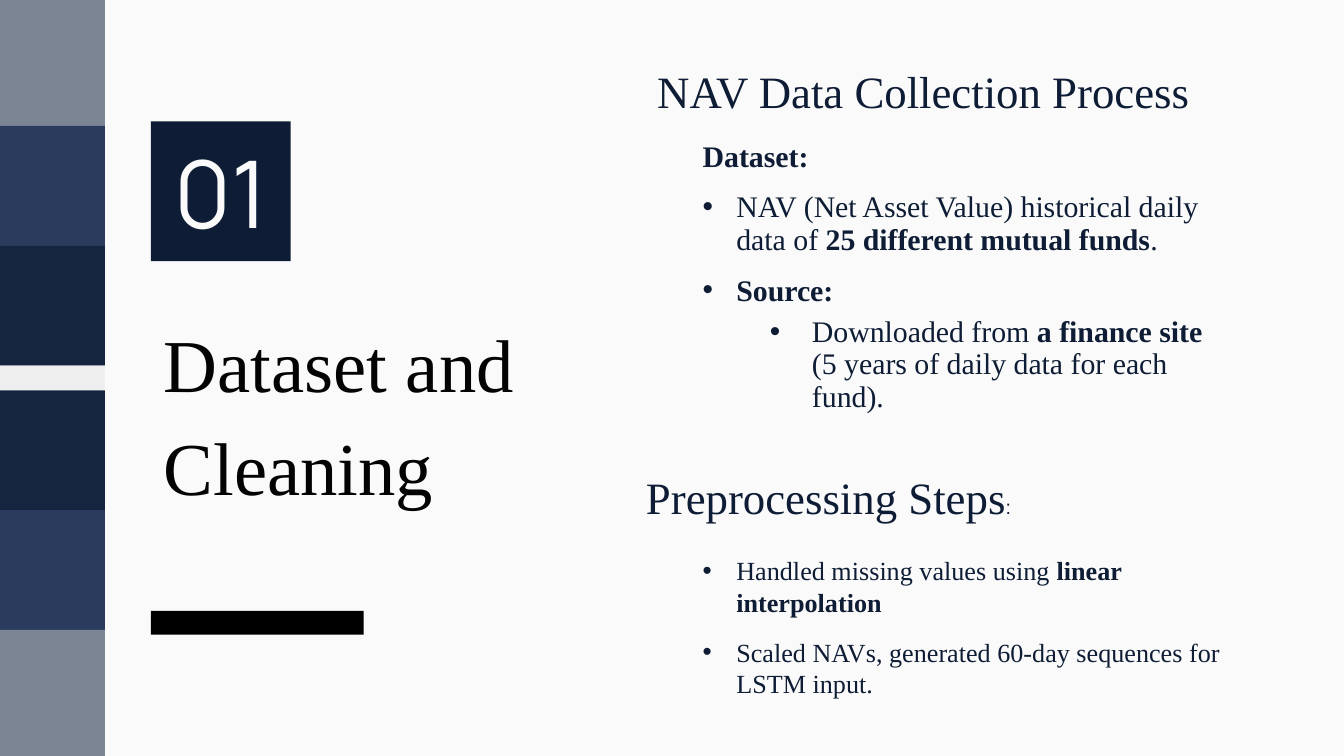
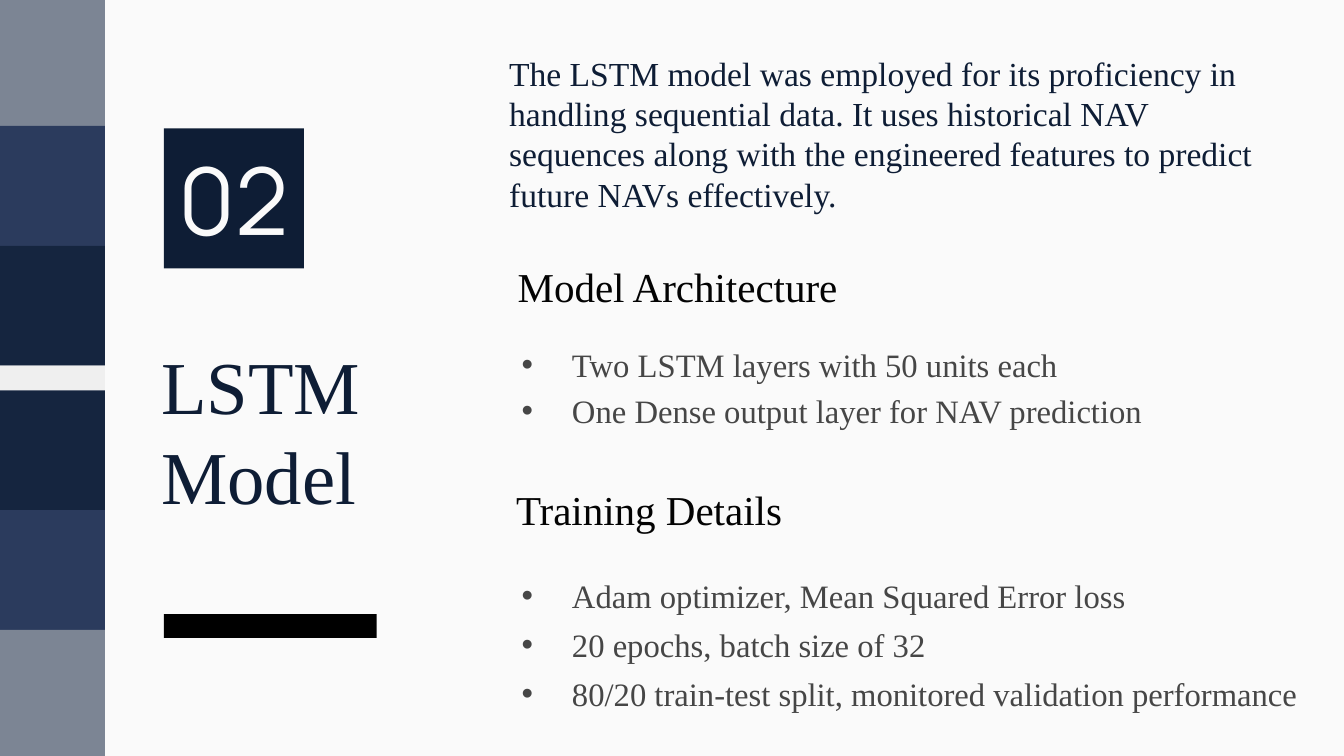
from dataclasses import dataclass

from lxml import etree
from pptx import Presentation
from pptx.dml.color import RGBColor
from pptx.enum.shapes import MSO_SHAPE
from pptx.enum.text import MSO_ANCHOR, PP_ALIGN
from pptx.oxml.ns import qn
from pptx.util import Pt

RECT = MSO_SHAPE.RECTANGLE
TOP, MIDDLE, BOTTOM = MSO_ANCHOR.TOP, MSO_ANCHOR.MIDDLE, MSO_ANCHOR.BOTTOM
CENTER = PP_ALIGN.CENTER


@dataclass(frozen=True)
class Theme:
    paper: str = "FAFAFA"
    navy: str = "0E1D35"
    deep: str = "15253F"
    blue: str = "2B3B5D"
    steel: str = "7C8594"
    pale: str = "EFEFEF"
    black: str = "000000"
    ink: str = "030303"
    gray: str = "464646"
    serif: str = "Times New Roman"
    digit: str = "Manrope"
    sans: str = "Arial"
    number: float = 50
    title: float = 40
    head: float = 24
    sub: float = 22
    lead: float = 18
    item: float = 17.5
    body: float = 16
    step: float = 14
    colon: float = 10.5


class Deck:
    def __init__(self, theme):
        self.theme = theme
        self.prs = Presentation()
        self.prs.slide_width, self.prs.slide_height = Pt(720), Pt(405)
        self.slide = None

    def page(self):
        """Start a slide with the shared background and side bands."""
        t = self.theme
        self.slide = self.prs.slides.add_slide(self.prs.slide_layouts[6])
        fill = self.slide.background.fill
        fill.solid()
        fill.fore_color.rgb = RGBColor.from_string(t.paper)
        half = [(t.steel, 67.5), (t.blue, 64.2), (t.deep, 64.2)]
        top = 0
        for color, height in half + [(t.pale, 13.2)] + half[::-1]:
            self.rect(0, top, 56.2, height, color)
            top += height

    def rect(self, x, y, w, h, color):
        shape = self.slide.shapes.add_shape(RECT, Pt(x), Pt(y), Pt(w), Pt(h))
        shape.shadow.inherit = False
        shape.fill.solid()
        shape.fill.fore_color.rgb = RGBColor.from_string(color)
        shape.line.fill.background()
        return shape

    def frame(self, shape, pad=7.2, anchor=TOP):
        """Prepare the text frame of a shape and return it."""
        frame = shape.text_frame
        frame.word_wrap = True
        frame.vertical_anchor = anchor
        frame.margin_left = frame.margin_right = Pt(pad)
        frame.margin_top = frame.margin_bottom = Pt(pad)
        return frame

    def box(self, x, y, w, h, pad=7.2, anchor=TOP):
        shape = self.slide.shapes.add_textbox(Pt(x), Pt(y), Pt(w), Pt(h))
        return self.frame(shape, pad, anchor)

    def para(self, frame, text, size, color, font=None, gap=None, lead=None,
             left=0, hang=0, dot=False):
        """Add a paragraph; parts between asterisks are bold."""
        first = frame.paragraphs[0]
        par = frame.add_paragraph() if first.runs else first
        props = par._p.get_or_add_pPr()
        props.set("marL", str(Pt(left)))
        props.set("indent", str(-Pt(hang)))
        if dot:
            etree.SubElement(props, qn("a:buFont"), typeface=self.theme.sans)
            etree.SubElement(props, qn("a:buChar"), char="•")
        par.font.name = font or self.theme.serif
        par.font.size = Pt(size)
        par.font.color.rgb = RGBColor.from_string(color)
        if gap is not None:
            par.space_before = Pt(gap)
        if lead is not None:
            par.line_spacing = lead
        for i, part in enumerate(text.split("*")):
            for j, line in enumerate(part.split("\n")):
                if j:
                    par.add_line_break()
                if line:
                    run = par.add_run()
                    run.text = line
                    if i % 2:
                        run.font.bold = True
        return par

    def badge(self, x, y, text):
        t = self.theme
        frame = self.frame(self.rect(x, y, 75, 75, t.navy), anchor=MIDDLE)
        par = self.para(frame, text, t.number, t.paper, t.digit)
        par.alignment = CENTER

    def bar(self, x, y):
        self.rect(x, y, 114, 12.8, self.theme.black)

    def title(self, x, y, w, h, text, color, lead=None):
        self.para(self.box(x, y, w, h), text, self.theme.title, color,
                  lead=lead)

    def head(self, x, y, text):
        t = self.theme
        frame = self.box(x, y, 343.5, 57.5, anchor=BOTTOM)
        return self.para(frame, text, t.head, t.navy)

    def sub(self, x, y, text):
        t = self.theme
        self.para(self.box(x, y, 223, 28, pad=0), text, t.sub, t.ink,
                  lead=Pt(27.5))

    def item(self, y, text):
        t = self.theme
        self.para(self.box(279.4, y, 492, 29, pad=0), text, t.item, t.gray,
                  lead=Pt(28.5), left=27, hang=27, dot=True)


def data(deck):
    t = deck.theme
    deck.page()
    deck.title(80.8, 155.5, 308, 152.5, "Dataset and Cleaning", t.ink,
               Pt(55.5))
    deck.badge(80.8, 65, "01")
    deck.bar(80.8, 327.3)

    deck.head(345, 12.5, "NAV Data Collection Process")
    frame = deck.box(369.4, 68.5, 294, 126.5)
    near = dict(gap=10, left=18, hang=18)
    far = dict(gap=5, left=58.5, hang=22.5)
    for text, dot, style in (
        ("*Dataset:*", False, near),
        ("NAV (Net Asset Value) historical daily data of "
         "*25 different mutual funds*.", True, near),
        ("*Source:*", True, near),
        ("Downloaded from *a finance site* (5 years of daily data "
         "for each fund).", True, far),
    ):
        deck.para(frame, text, t.body, t.navy, lead=0.9, dot=dot, **style)

    colon = deck.head(339, 230, "Preprocessing Steps").add_run()
    colon.text = ":"
    colon.font.name, colon.font.size = t.sans, Pt(t.colon)
    frame = deck.box(369.4, 290, 294, 126.5)
    for text in (
        "Handled missing values using *linear interpolation*",
        "Scaled NAVs, generated 60-day sequences for LSTM input.",
    ):
        deck.para(frame, text, t.step, t.navy, dot=True, **near)


def model(deck):
    t = deck.theme
    deck.page()
    deck.title(79.3, 175, 153.5, 144.5, "LSTM\nModel", t.navy)
    deck.badge(87.8, 68.8, "02")
    deck.bar(87.8, 329)

    deck.sub(277.3, 139, "Model Architecture")
    deck.item(177, "Two LSTM layers with 50 units each")
    deck.item(202, "One Dense output layer for NAV prediction")
    deck.sub(276.5, 258.5, "Training Details")
    for i, text in enumerate((
        "Adam optimizer, Mean Squared Error loss",
        "20 epochs, batch size of 32",
        "80/20 train-test split, monitored validation performance",
    )):
        deck.item(301 + 26.3 * i, text)

    deck.para(deck.box(247.7, 21, 435, 139.5),
              "The LSTM model was employed for its proficiency in handling "
              "sequential data. It uses historical NAV sequences along with "
              "the engineered features to predict future NAVs effectively.",
              t.lead, t.navy, gap=10, left=18)


def main():
    deck = Deck(Theme())
    data(deck)
    model(deck)
    deck.prs.save("out.pptx")


if __name__ == "__main__":
    main()
